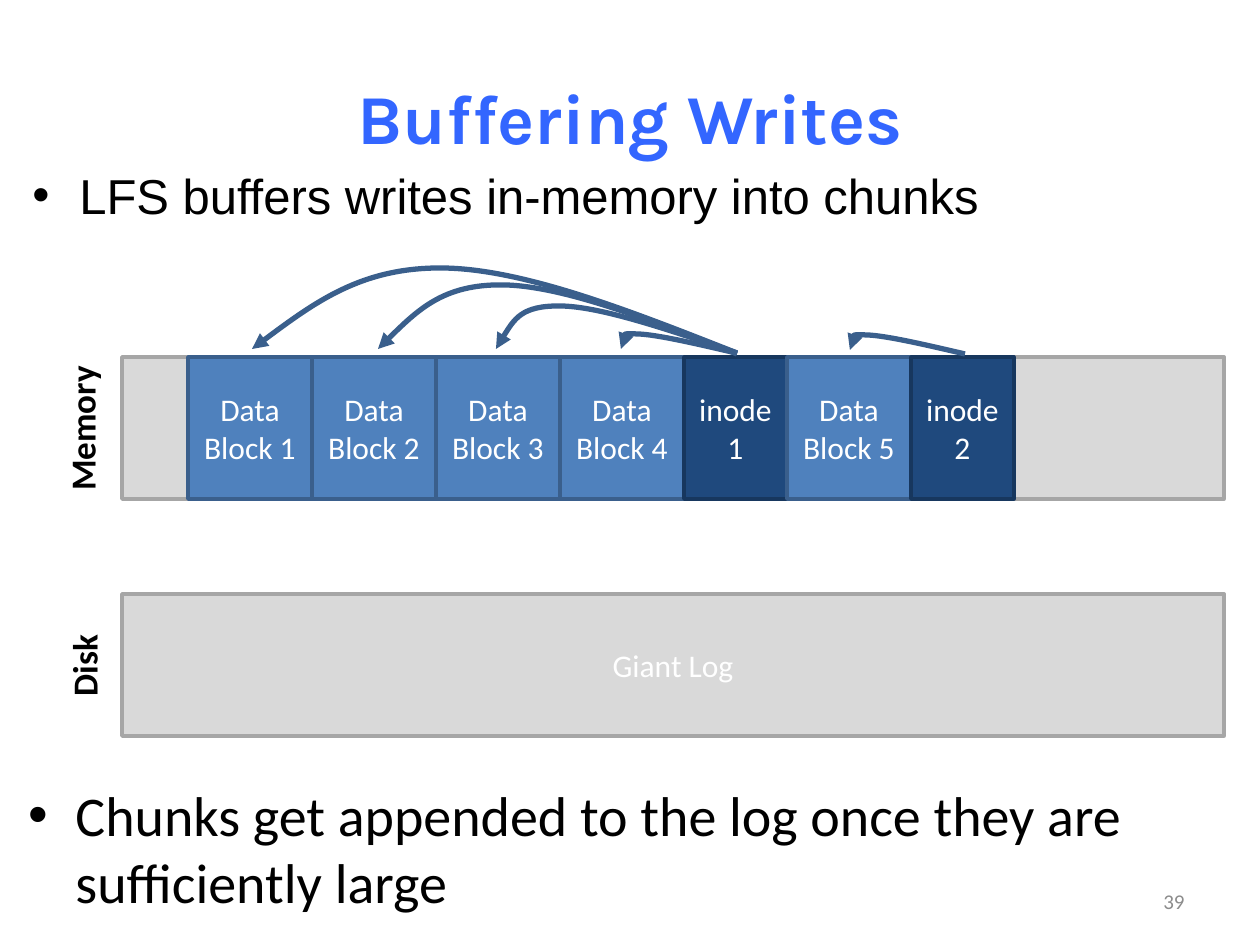
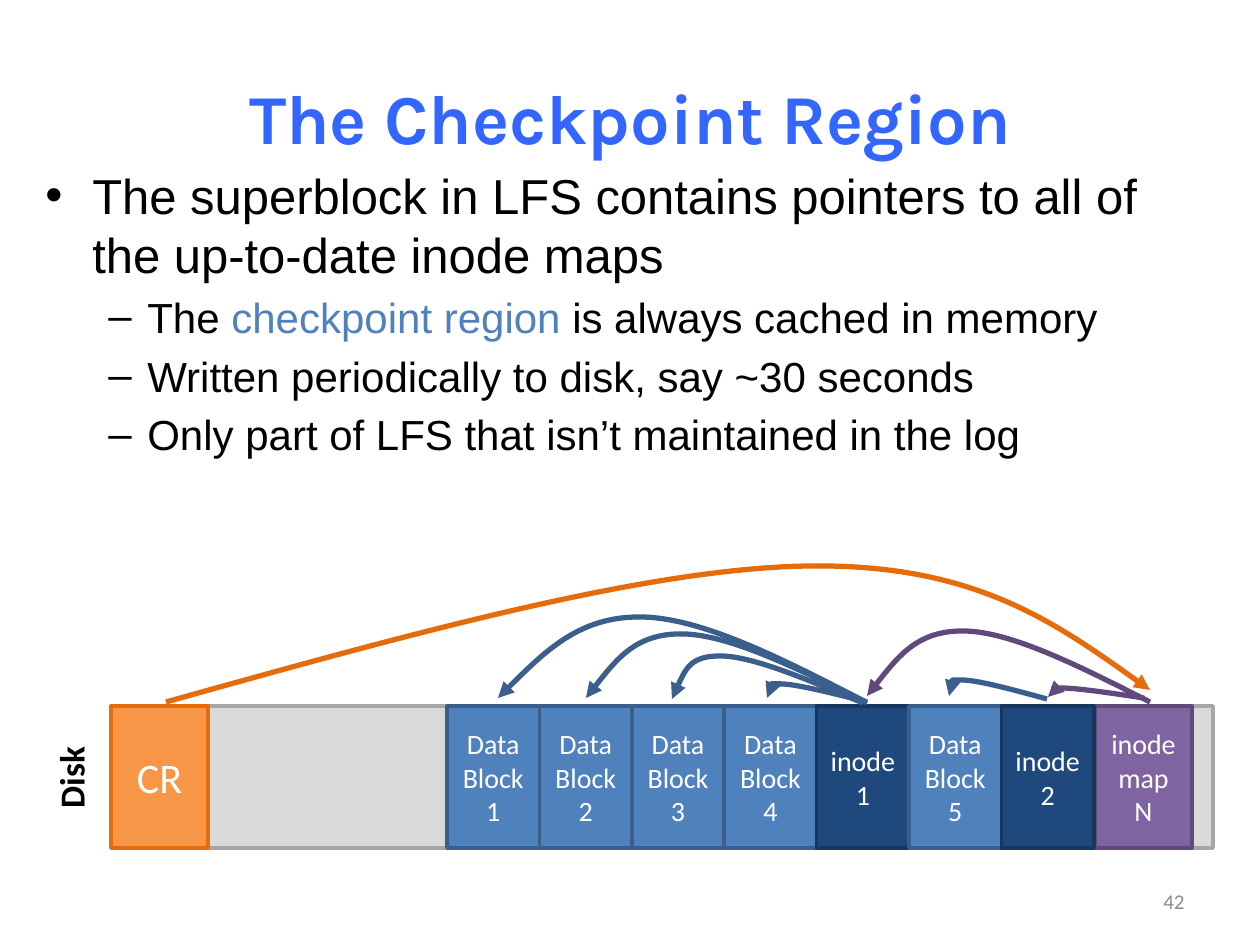
from lxml import etree
from pptx import Presentation
from pptx.dml.color import RGBColor
from pptx.enum.shapes import MSO_SHAPE
from pptx.enum.text import MSO_ANCHOR, PP_ALIGN
from pptx.oxml.ns import qn
from pptx.util import Emu, Inches, Pt

RECTANGLE = MSO_SHAPE.RECTANGLE
TOP, MIDDLE = MSO_ANCHOR.TOP, MSO_ANCHOR.MIDDLE
LEFT, CENTER, RIGHT = PP_ALIGN.LEFT, PP_ALIGN.CENTER, PP_ALIGN.RIGHT

BLACK = RGBColor(0x00, 0x00, 0x00)
WHITE = RGBColor(0xFF, 0xFF, 0xFF)
TITLE_BLUE = RGBColor(0x33, 0x66, 0xFF)
NUMBER_GRAY = RGBColor(0x8C, 0x8C, 0x8C)
ACCENT = RGBColor(0x4F, 0x81, 0xBD)
POINTER_BLUE = RGBColor(0x3A, 0x5F, 0x8C)
POINTER_PURPLE = RGBColor(0x60, 0x4A, 0x7B)
POINTER_ORANGE = RGBColor(0xE4, 0x6C, 0x0A)

REGION = (RGBColor(0xD9, 0xD9, 0xD9), RGBColor(0xA6, 0xA6, 0xA6))
DATA = (ACCENT, POINTER_BLUE)
INODE = (RGBColor(0x1F, 0x49, 0x7D), RGBColor(0x17, 0x37, 0x5E))
INODE_MAP = (RGBColor(0x80, 0x64, 0xA2), POINTER_PURPLE)
CHECKPOINT = (RGBColor(0xF7, 0x96, 0x46), POINTER_ORANGE)

TITLE_FONT, BODY_FONT, LABEL_FONT = "Karla", "Arial", "Calibri"
EMU_PER_PIXEL = 914400 / 126
BAR_WIDTH, BAR_HEIGHT = 1102, 142
BULLETS = (("•", 47, 47), ("–", 102, 39))
BLOCKS = (
    (DATA, ["Data Block 1"]),
    (DATA, ["Data Block 2"]),
    (DATA, ["Data Block 3"]),
    (DATA, ["Data Block 4"]),
    (INODE, ["inode", "1"]),
    (DATA, ["Data Block 5"]),
    (INODE, ["inode", "2"]),
)


def px(value):
    return Emu(round(value * EMU_PER_PIXEL))


class Lecture:
    def __init__(self):
        self.deck = Presentation()
        self.deck.slide_width = Inches(10)
        self.deck.slide_height = Inches(7.5)
        self.page = None

    def add_page(self, title, number):
        self.page = self.deck.slides.add_slide(self.deck.slide_layouts[5])
        box = self.page.shapes.title
        box.left, box.top, box.width, box.height = map(px, (63, 38, 1134, 158))
        self.add_lines(box.text_frame, [title], 40, TITLE_BLUE, TITLE_FONT, bold=True)
        self.label((903, 876, 294, 50), [str(number)], 12, NUMBER_GRAY,
                   align=RIGHT, anchor=MIDDLE)

    def add_span(self, para, text, size, color, font, bold=False):
        span = para.add_run()
        span.text = text
        span.font.size = Pt(size)
        span.font.name = font
        span.font.bold = bold
        span.font.color.rgb = color

    def add_lines(self, frame, lines, size, color, font=LABEL_FONT, bold=False,
                  align=CENTER, anchor=MIDDLE):
        frame.word_wrap = True
        frame.vertical_anchor = anchor
        for index, line in enumerate(lines):
            para = frame.add_paragraph() if index else frame.paragraphs[0]
            para.alignment = align
            self.add_span(para, line, size, color, font, bold)

    def label(self, place, lines, size, color, bold=False, align=CENTER, anchor=TOP):
        box = self.page.shapes.add_textbox(*map(px, place))
        self.add_lines(box.text_frame, lines, size, color, bold=bold,
                       align=align, anchor=anchor)
        return box

    def side_label(self, left, top, name):
        box = self.label((left, top, 180, 55), [name], 20, BLACK, bold=True)
        box.rotation = 270

    def bullets(self, place, items, font):
        frame = self.page.shapes.add_textbox(*map(px, place)).text_frame
        frame.word_wrap = True
        for index, (level, size, spans) in enumerate(items):
            para = frame.add_paragraph() if index else frame.paragraphs[0]
            para.alignment = LEFT
            para.level = level
            para.space_before = Pt(size * 0.2)
            mark, margin, hang = BULLETS[level]
            for text, color in spans:
                self.add_span(para, text, size, color, font)
            props = para._p.get_or_add_pPr()
            props.set("marL", str(px(margin)))
            props.set("indent", str(px(-hang)))
            etree.SubElement(props, qn("a:buFont")).set("typeface", BODY_FONT)
            etree.SubElement(props, qn("a:buChar")).set("char", mark)

    def block(self, left, top, width, look, lines=(), size=18):
        box = self.page.shapes.add_shape(
            RECTANGLE, *map(px, (left, top, width, BAR_HEIGHT)))
        box.shadow.inherit = False
        fill, edge = look
        box.fill.solid()
        box.fill.fore_color.rgb = fill
        box.line.color.rgb = edge
        box.line.width = Pt(2)
        self.add_lines(box.text_frame, lines, size, WHITE)

    def pointer(self, start, apex, end, color=POINTER_BLUE):
        lean = [(a - b) / 6 for a, b in zip(start, end)]
        enter = [a + d for a, d in zip(apex, lean)]
        leave = [a - d for a, d in zip(apex, lean)]
        rise = [(a + b) / 2 for a, b in zip(start, enter)]
        fall = [(a + b) / 2 for a, b in zip(leave, end)]
        points = [(px(x), px(y)) for x, y in (rise, enter, apex, leave, fall, end)]
        builder = self.page.shapes.build_freeform(px(start[0]), px(start[1]))
        builder.add_line_segments(points, close=False)
        curve = builder.convert_to_shape()
        curve.shadow.inherit = False
        curve.fill.background()
        curve.line.color.rgb = color
        curve.line.width = Pt(3)
        outline = next(curve.element.iter(qn("a:path")))
        segments = outline.findall(qn("a:lnTo"))
        for first in (0, 3):
            bezier = etree.SubElement(outline, qn("a:cubicBezTo"))
            for segment in segments[first:first + 3]:
                bezier.append(segment[0])
                outline.remove(segment)
        line = next(curve.element.iter(qn("a:ln")))
        etree.SubElement(line, qn("a:tailEnd")).set("type", "triangle")


def buffering_writes(lecture):
    lecture.add_page("Buffering Writes", 39)
    memory_top, disk_top = 357, 594
    lecture.block(122, memory_top, BAR_WIDTH, REGION)
    lecture.block(122, disk_top, BAR_WIDTH, REGION, ["Giant Log"])
    lecture.bullets((20, 159, 1196, 98), [
        (0, 28, [("LFS buffers writes in-memory into chunks", BLACK)]),
    ], BODY_FONT)
    lecture.bullets((16, 774, 1227, 149), [
        (0, 32, [("Chunks get appended to the log once they are "
                  "sufficiently large", BLACK)]),
    ], LABEL_FONT)
    lecture.side_label(-8, memory_top + 44, "Memory")
    lecture.side_label(-6, disk_top + 44, "Disk")
    left = 188
    for look, lines in BLOCKS:
        width = 124 if look is DATA else 103
        lecture.block(left, memory_top, width, look, lines)
        left += width
    for start, apex, end in (
        ((737, 353), (442, 268), (252, 349)),
        ((737, 354), (503, 285), (378, 349)),
        ((737, 353), (561, 306), (496, 349)),
        ((736, 353), (638, 334), (621, 349)),
        ((965, 354), (867, 335), (850, 350)),
    ):
        lecture.pointer(start, apex, end)


def checkpoint_region(lecture):
    lecture.add_page("The Checkpoint Region", 42)
    disk_top = 706
    lecture.block(111, disk_top, BAR_WIDTH, REGION)
    lecture.bullets((33, 159, 1196, 383), [
        (0, 28, [("The superblock in LFS contains pointers to all of "
                  "the up-to-date inode maps", BLACK)]),
        (1, 24, [("The ", BLACK), ("checkpoint region ", ACCENT),
                 ("is always cached in memory", BLACK)]),
        (1, 24, [("Written periodically to disk, say ~30 seconds", BLACK)]),
        (1, 24, [("Only part of LFS that isn’t maintained in the log", BLACK)]),
    ], BODY_FONT)
    lecture.block(1095, disk_top, 97, INODE_MAP, ["inode", "map", "N"], 16)
    lecture.side_label(-19, disk_top + 44, "Disk")
    step = 92.4
    for index, (look, lines) in enumerate(BLOCKS):
        lecture.block(447 + index * step, disk_top, step, look, lines, 16)
    for start, apex, end, color in (
        ((866, 702), (641, 617), (498, 698), POINTER_BLUE),
        ((867, 703), (683, 634), (586, 698), POINTER_BLUE),
        ((863, 703), (722, 656), (672, 699), POINTER_BLUE),
        ((867, 702), (782, 684), (767, 698), POINTER_BLUE),
        ((1047, 699), (963, 680), (949, 696), POINTER_BLUE),
        ((1144, 698), (1062, 688), (1048, 697), POINTER_PURPLE),
        ((1150, 702), (965, 631), (867, 696), POINTER_PURPLE),
    ):
        lecture.pointer(start, apex, end, color)
    lecture.block(111, disk_top, 97, CHECKPOINT, ["CR"], 24)
    lecture.pointer((166, 702), (810, 566), (1150, 690), POINTER_ORANGE)


lecture = Lecture()
buffering_writes(lecture)
checkpoint_region(lecture)
lecture.deck.save("out.pptx")
